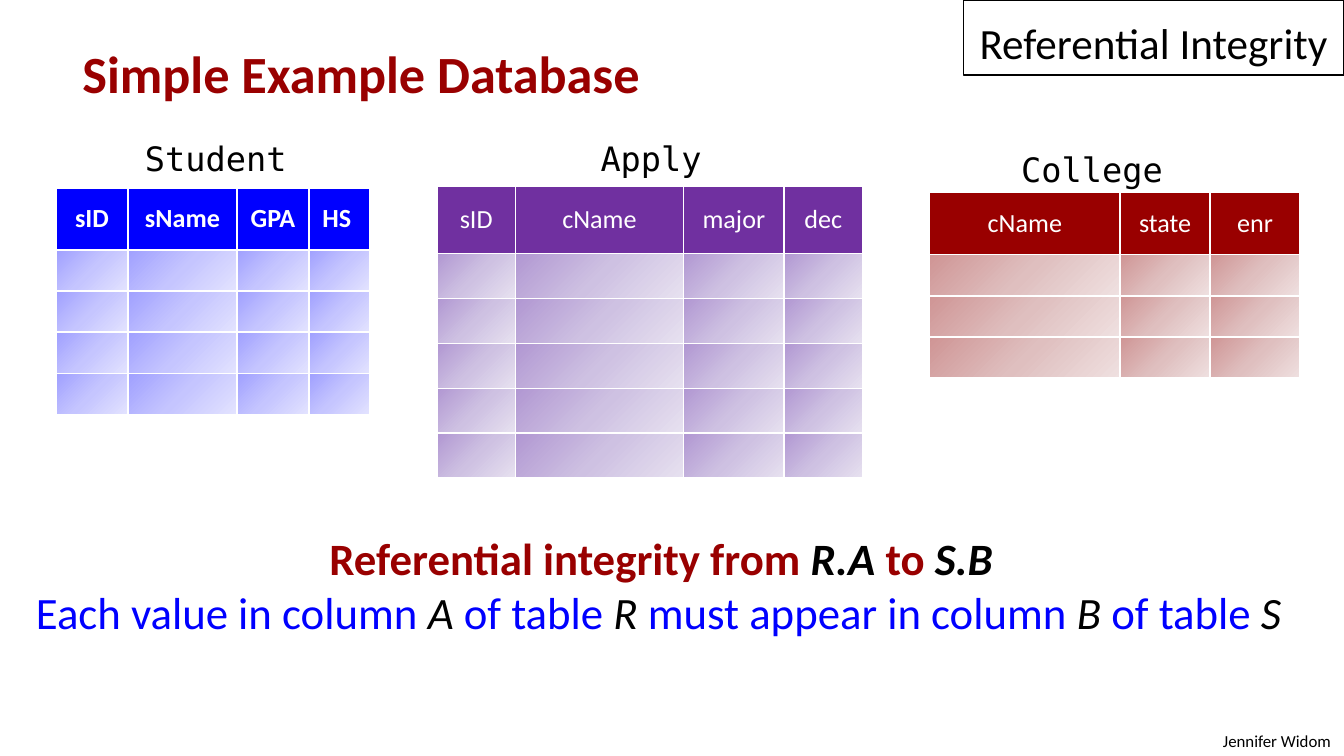
"""Build the referential integrity slide with three example tables."""
from copy import deepcopy
from dataclasses import dataclass

from lxml.etree import SubElement
from pptx import Presentation
from pptx.dml.color import RGBColor
from pptx.enum.shapes import MSO_SHAPE
from pptx.enum.text import MSO_ANCHOR, MSO_AUTO_SIZE, PP_ALIGN
from pptx.oxml.ns import qn
from pptx.slide import Slide
from pptx.table import _Cell
from pptx.text.text import TextFrame
from pptx.util import Cm, Pt

BLACK = RGBColor(0x00, 0x00, 0x00)
WHITE = RGBColor(0xFF, 0xFF, 0xFF)
RED = RGBColor(0x99, 0x00, 0x00)
BLUE = RGBColor(0x00, 0x00, 0xFF)
PURPLE = RGBColor(0x70, 0x30, 0xA0)
RED_TINTS = (RGBColor(0xCF, 0x95, 0x95), RGBColor(0xDF, 0xBF, 0xBF), RGBColor(0xEF, 0xE0, 0xE0))
BLUE_TINTS = (RGBColor(0xA0, 0xA0, 0xFF), RGBColor(0xC5, 0xC5, 0xFF), RGBColor(0xE3, 0xE3, 0xFF))
PURPLE_TINTS = (RGBColor(0xB1, 0x97, 0xD2), RGBColor(0xCE, 0xC1, 0xE2), RGBColor(0xE7, 0xE1, 0xF0))
SANS = "Calibri"
MONO = "DejaVu Sans Mono"


@dataclass(frozen=True)
class Span:
    text: str
    color: RGBColor = BLACK
    bold: bool = False
    italic: bool = False


@dataclass(frozen=True)
class Line:
    spans: tuple[Span, ...]
    alignment: PP_ALIGN = PP_ALIGN.LEFT


@dataclass(frozen=True)
class TextBox:
    left: float
    top: float
    width: float
    height: float
    size: float
    lines: tuple[Line, ...]
    font: str = SANS
    wrap: bool = True


@dataclass(frozen=True)
class Relation:
    left: float
    top: float
    columns: dict[str, float]
    header_height: float
    row_height: float
    row_count: int
    color: RGBColor
    tints: tuple[RGBColor, ...]
    bold: bool = False


RELATIONS = (
    Relation(17.57, 3.64, {"cName": 3.6, "state": 1.7, "enr": 1.7}, 1.17, 0.78, 3, RED, RED_TINTS),
    Relation(1.06, 3.55, {"sID": 1.36, "sName": 2.06, "GPA": 1.36, "HS": 1.15},
             1.17, 0.78, 4, BLUE, BLUE_TINTS, bold=True),
    Relation(8.26, 3.52, {"sID": 1.48, "cName": 3.18, "major": 1.9, "dec": 1.48},
             1.27, 0.85, 5, PURPLE, PURPLE_TINTS),
)

RULE = (
    Line((Span("Referential integrity from ", RED, True), Span("R.A", BLACK, True, True),
          Span(" to ", RED, True), Span("S.B", BLACK, True, True)), PP_ALIGN.CENTER),
    Line((Span("Each value in column ", BLUE), Span("A", italic=True),
          Span(" of table ", BLUE), Span("R", italic=True),
          Span(" must appear in column ", BLUE), Span("B", italic=True),
          Span(" of table ", BLUE), Span("S", italic=True))),
)

FOOTER = TextBox(22.66, 13.69, 2.74, 0.64, 9, (Line((Span("Jennifer Widom"),), PP_ALIGN.RIGHT),))
LABELS = (
    TextBox(19.05, 2.69, 3.23, 1.02, 18, (Line((Span("College"),)),), MONO, wrap=False),
    TextBox(2.49, 2.49, 3.23, 1.02, 18, (Line((Span("Student"),)),), MONO, wrap=False),
    TextBox(11.1, 2.49, 2.87, 1.02, 18, (Line((Span("Apply"),)),), MONO),
)
RULE_BOX = TextBox(0.43, 9.91, 24.13, 2.31, 24, RULE)
TITLE = TextBox(1.06, 0.79, 23.29, 1.47, 28, (Line((Span("Simple Example Database", RED, True),)),))


def write_lines(text_frame: TextFrame, lines: tuple[Line, ...], size: float, font: str = SANS) -> None:
    for index, line in enumerate(lines):
        paragraph = text_frame.add_paragraph() if index else text_frame.paragraphs[0]
        paragraph.alignment = line.alignment
        for span in line.spans:
            run = paragraph.add_run()
            run.text = span.text
            run.font.name = font
            run.font.size = Pt(size)
            run.font.bold = span.bold
            run.font.italic = span.italic
            run.font.color.rgb = span.color


def add_text_box(slide: Slide, box: TextBox) -> TextFrame:
    shape = slide.shapes.add_textbox(Cm(box.left), Cm(box.top), Cm(box.width), Cm(box.height))
    text_frame = shape.text_frame
    text_frame.word_wrap = box.wrap
    text_frame.auto_size = MSO_AUTO_SIZE.SHAPE_TO_FIT_TEXT
    write_lines(text_frame, box.lines, box.size, box.font)
    return text_frame


def add_title(slide: Slide) -> None:
    text_frame = add_text_box(slide, TITLE)
    text_frame.auto_size = MSO_AUTO_SIZE.NONE
    paragraph = text_frame.paragraphs[0]
    paragraph.line_spacing = 0.9
    paragraph.space_after = Pt(6)
    properties = paragraph._p.get_or_add_pPr()
    properties.set("marL", str(Cm(0.76)))
    properties.set("indent", str(Cm(-0.51)))


def add_topic(slide: Slide) -> None:
    shape = slide.shapes.add_shape(MSO_SHAPE.RECTANGLE, Cm(18.21), Cm(0), Cm(7.19), Cm(1.42))
    shape.shadow.inherit = False
    shape.fill.background()
    shape.line.color.rgb = BLACK
    shape.line.width = Pt(0.75)
    shape.text_frame.word_wrap = True
    shape.text_frame.vertical_anchor = MSO_ANCHOR.BOTTOM
    write_lines(shape.text_frame, (Line((Span("Referential Integrity"),), PP_ALIGN.CENTER),), 23.1)


def shade_empty_cell(cell: _Cell, tints: tuple[RGBColor, ...]) -> None:
    cell.fill.gradient()
    stop_list = cell._tc.find(".//" + qn("a:gsLst"))
    stop_list.insert(1, deepcopy(stop_list[0]))
    for index, (stop, tint) in enumerate(zip(cell.fill.gradient_stops, tints)):
        stop.color.rgb = tint
        stop.position = index / 2
    cell.fill.gradient_angle = 315
    SubElement(cell.text_frame.paragraphs[0]._p, qn("a:endParaRPr"), sz="1000")


def add_relation(slide: Slide, relation: Relation) -> None:
    width = sum(relation.columns.values())
    height = relation.header_height + relation.row_count * relation.row_height
    table = slide.shapes.add_table(
        relation.row_count + 1, len(relation.columns),
        Cm(relation.left), Cm(relation.top), Cm(width), Cm(height)).table
    table.horz_banding = False
    for row_index, row in enumerate(table.rows):
        row.height = Cm(relation.row_height if row_index else relation.header_height)
    for column_index, (name, column_width) in enumerate(relation.columns.items()):
        table.columns[column_index].width = Cm(column_width)
        header = table.cell(0, column_index)
        header.fill.solid()
        header.fill.fore_color.rgb = relation.color
        header.vertical_anchor = MSO_ANCHOR.MIDDLE
        alignment = PP_ALIGN.LEFT if name == "HS" else PP_ALIGN.CENTER
        write_lines(header.text_frame, (Line((Span(name, WHITE, relation.bold),), alignment),), 14)
        for row_index in range(1, relation.row_count + 1):
            shade_empty_cell(table.cell(row_index, column_index), relation.tints)


def main() -> None:
    presentation = Presentation()
    presentation.slide_width = Cm(25.4)
    presentation.slide_height = Cm(14.29)
    slide = presentation.slides.add_slide(presentation.slide_layouts[6])
    add_text_box(slide, FOOTER)
    for relation in RELATIONS:
        add_relation(slide, relation)
    for label in LABELS:
        add_text_box(slide, label)
    add_topic(slide)
    add_text_box(slide, RULE_BOX)
    add_title(slide)
    presentation.save("out.pptx")


if __name__ == "__main__":
    main()
